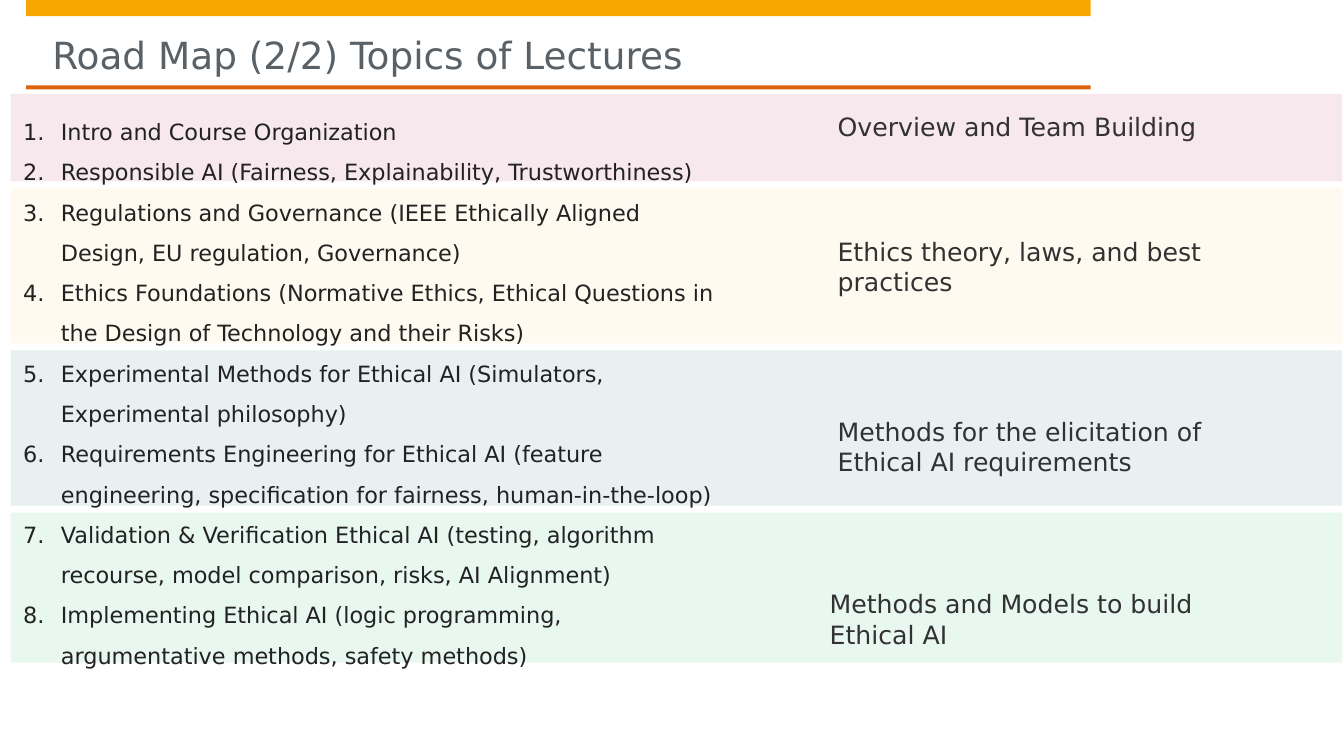
from lxml import etree
from pptx import Presentation
from pptx import util as u
from pptx.dml.color import RGBColor
from pptx.enum import shapes, text
from pptx.oxml.ns import qn

FONT = "DejaVu Sans"
COLORS = {
    "bar": "F6A800", "rule": "DD640C", "title": "5A6166",
    "lecture": "222222", "theme": "323232",
    "red": "B1063A", "yellow": "FFCD61", "blue": "005B76", "green": "00B050",
}
TITLE = "Road Map (2/2) Topics of Lectures"
LECTURES = [
    "Intro and Course Organization",
    "Responsible AI (Fairness, Explainability, Trustworthiness)",
    "Regulations and Governance (IEEE Ethically Aligned Design, EU regulation, Governance)",
    "Ethics Foundations (Normative Ethics, Ethical Questions in the Design of Technology "
    "and their Risks)",
    "Experimental Methods for Ethical AI (Simulators, Experimental philosophy)",
    "Requirements Engineering for Ethical AI (feature engineering, specification for "
    "fairness, human-in-the-loop)",
    "Validation & Verification Ethical AI (testing, algorithm recourse, model comparison, "
    "risks, AI Alignment)",
    "Implementing Ethical AI (logic programming, argumentative methods, safety methods)",
]
# colour, band height, theme, theme box (left, top, width, height)
BANDS = [
    ("red", 62.6, "Overview and Team Building", (598.3, 79.2, 293, 79.2)),
    ("yellow", 110.9, "Ethics theory, laws, and best practices", (598.3, 168.5, 264.2, 77)),
    ("blue", 110.9, "Methods for the elicitation of Ethical AI requirements",
     (598.3, 297.4, 313.2, 74.9)),
    ("green", 107.3, "Methods and Models to build Ethical AI", (592.6, 420.5, 313.2, 90)),
]
BAND_LEFT, BAND_TOP, BAND_WIDTH, BAND_GAP = 7.5, 67, 951.1, 4.9
HEAD_LEFT, HEAD_WIDTH = 18.7, 760.3
INDENT = 27


def rgb(name):
    return RGBColor.from_string(COLORS[name])


def add_rect(s, box, color, alpha=None):
    """Add a borderless rectangle; alpha is its opacity in percent."""
    sp = s.shapes.add_shape(shapes.MSO_SHAPE.RECTANGLE, *map(u.Pt, box))
    sp.shadow.inherit = False
    sp.fill.solid()
    sp.fill.fore_color.rgb = rgb(color)
    sp.line.fill.background()
    if alpha is not None:
        clr = sp.fill._xPr.find(".//" + qn("a:srgbClr"))
        etree.SubElement(clr, qn("a:alpha"), val=str(alpha * 1000))


def add_frame(s, box, insets):
    tf = s.shapes.add_textbox(*map(u.Pt, box)).text_frame
    tf.word_wrap = True
    tf.margin_left, tf.margin_top, tf.margin_right, tf.margin_bottom = map(u.Pt, insets)
    return tf


def add_run(p, words, size, color):
    r = p.add_run()
    r.text = words
    r.font.name = FONT
    r.font.size = u.Pt(size)
    r.font.color.rgb = rgb(color)


def number(p):
    """Turn the paragraph into an item of a numbered list."""
    pPr = p._p.get_or_add_pPr()
    pPr.set("marL", str(u.Pt(INDENT)))
    pPr.set("indent", str(-u.Pt(INDENT)))
    etree.SubElement(pPr, qn("a:buFont"), typeface=FONT)
    etree.SubElement(pPr, qn("a:buAutoNum"), type="arabicPeriod")


def main():
    prs = Presentation()
    prs.slide_width, prs.slide_height = u.Pt(960), u.Pt(540)
    s = prs.slides.add_slide(prs.slide_layouts[6])

    add_rect(s, (HEAD_LEFT, 0, HEAD_WIDTH, 11.5), "bar")
    add_rect(s, (HEAD_LEFT, 61, HEAD_WIDTH, 2.9), "rule")
    tf = add_frame(s, (37.4, 11.5, 722.2, 44), (0, 11.5, 0, 0))
    tf.vertical_anchor = text.MSO_ANCHOR.MIDDLE
    add_run(tf.paragraphs[0], TITLE, 26.7, "title")

    top = BAND_TOP
    for color, height, theme, box in BANDS:
        add_rect(s, (BAND_LEFT, top, BAND_WIDTH, height), color, 9)
        top += height + BAND_GAP
        p = add_frame(s, box, (0, 0, 0, 0)).paragraphs[0]
        p.space_before = p.space_after = u.Pt(3)
        add_run(p, theme, 18, "theme")

    tf = add_frame(s, (9.4, 71.3, 517, 410.4), (7.2, 3.6, 7.2, 3.6))
    for i, lecture in enumerate(LECTURES):
        p = tf.add_paragraph() if i else tf.paragraphs[0]
        p.line_spacing = 1.5
        number(p)
        add_run(p, lecture, 16, "lecture")

    prs.save("out.pptx")


if __name__ == "__main__":
    main()
